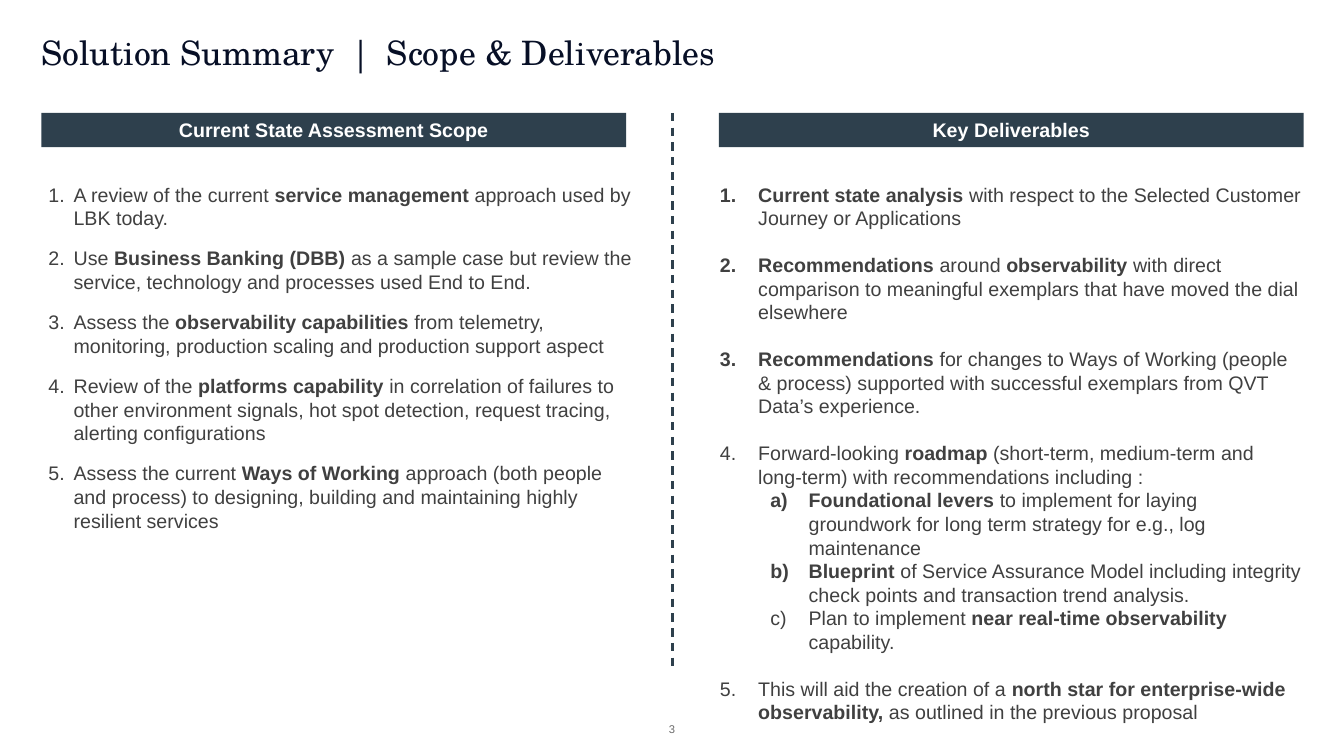
from dataclasses import dataclass

from lxml import etree
from pptx import Presentation
from pptx.dml.color import RGBColor
from pptx.enum.dml import MSO_LINE
from pptx.enum.shapes import MSO_CONNECTOR, MSO_SHAPE
from pptx.enum.text import MSO_ANCHOR as ANCHOR, MSO_AUTO_SIZE as AUTO, PP_ALIGN as ALIGN
from pptx.oxml.ns import qn
from pptx.util import Inches, Pt


@dataclass(frozen=True)
class Theme:
    """Colours, fonts and type sizes of the slide."""
    ink: str = "070F26"
    slate: str = "2E404D"
    body: str = "404040"
    muted: str = "6B6B6B"
    white: str = "FFFFFF"
    serif: str = "TeX Gyre Schola"
    sans: str = "Arial"
    title_size: int = 24
    text_size: int = 14
    number_size: int = 8


T = Theme()

SCOPE = [
    (0, "A review of the current **service management **approach used by LBK today."),
    (0, "Use **Business Banking (DBB) **as a sample case but review the service, "
        "technology and processes used End to End."),
    (0, "Assess the **observability capabilities** from telemetry, monitoring, "
        "production scaling and production support aspect"),
    (0, "Review of the **platforms capability **in correlation of failures to other "
        "environment signals, hot spot detection, request tracing, alerting configurations"),
    (0, "Assess the current **Ways of Working** approach (both people and process) to "
        "designing, building and maintaining highly resilient services"),
]
DELIVERABLES = [
    (0, "**Current state analysis** with respect to the Selected Customer Journey "
        "or Applications"),
    (0, "**Recommendations **around **observability **with direct comparison to "
        "meaningful exemplars that have moved the dial elsewhere"),
    (0, "**Recommendations **for changes to Ways of Working (people & process) "
        "supported with successful exemplars from QVT Data’s experience."),
    (0, "Forward-looking **roadmap** (short-term, medium-term and long-term) with "
        "recommendations including :"),
    (1, "**Foundational levers **to implement for laying groundwork for long term "
        "strategy for e.g., log maintenance"),
    (1, "**Blueprint **of Service Assurance Model including integrity check points "
        "and transaction trend analysis."),
    (1, "Plan to implement **near real-time observability **capability."),
    (0, "This will aid the creation of a **north star for enterprise-wide "
        "observability, **as outlined in the previous proposal"),
]


def place(sp, box):
    """Move and size a shape to a box in inches."""
    sp.left, sp.top, sp.width, sp.height = map(Inches, box)


def set_frame(tf, anchor, margins=(0.1, 0.05)):
    """Set wrapping, anchor and insets of a text frame."""
    tf.word_wrap = True
    tf.auto_size = AUTO.NONE
    tf.vertical_anchor = anchor
    tf.margin_left = tf.margin_right = Inches(margins[0])
    tf.margin_top = tf.margin_bottom = Inches(margins[1])


def add_run(p, text, size, color, font=T.sans, bold=False):
    """Add one formatted run."""
    r = p.add_run()
    r.text = text
    r.font.name, r.font.size, r.font.bold = font, Pt(size), bold
    r.font.color.rgb = RGBColor.from_string(color)


def add_title(sp, box, text):
    """Fill the title placeholder."""
    place(sp, box)
    tf = sp.text_frame
    set_frame(tf, ANCHOR.TOP, (0, 0))
    p = tf.paragraphs[0]
    p.alignment, p.line_spacing = ALIGN.LEFT, 0.9
    add_run(p, text, T.title_size, T.ink, T.serif)


def add_header(slide, box, text):
    """Add a dark column header bar."""
    sp = slide.shapes.add_shape(MSO_SHAPE.RECTANGLE, *map(Inches, box))
    sp.shadow.inherit = False
    sp.fill.solid()
    sp.fill.fore_color.rgb = RGBColor.from_string(T.slate)
    sp.line.fill.background()
    set_frame(sp.text_frame, ANCHOR.MIDDLE)
    p = sp.text_frame.paragraphs[0]
    p.alignment = ALIGN.CENTER
    add_run(p, text, T.text_size, T.white, bold=True)


def add_list(sp, box, items, indent, gap):
    """Fill a body placeholder with a numbered list, bold between double asterisks."""
    place(sp, box)
    tf = sp.text_frame
    set_frame(tf, ANCHOR.TOP)
    for i, (level, text) in enumerate(items):
        p = tf.add_paragraph() if i else tf.paragraphs[0]
        p.level = level
        p.alignment, p.line_spacing = ALIGN.LEFT, 1.0
        p.space_before = Pt(gap if i and level == 0 else 0)
        p.space_after = Pt(0)
        pPr = p._p.get_or_add_pPr()
        pPr.set("marL", str(Inches(indent + 0.5 * level)))
        pPr.set("indent", str(-Inches(indent)))
        number = etree.SubElement(pPr, qn("a:buAutoNum"))
        number.set("type", "alphaLcParenR" if level else "arabicPeriod")
        for j, part in enumerate(text.split("**")):
            if part:
                add_run(p, part, T.text_size, T.body, bold=j % 2 == 1)


def add_divider(slide, x, top, bottom):
    """Add the dashed line between the columns."""
    line = slide.shapes.add_connector(
        MSO_CONNECTOR.STRAIGHT, *map(Inches, (x, top, x, bottom)))
    line.line.color.rgb = RGBColor.from_string(T.slate)
    line.line.width = Pt(1.5)
    line.line.dash_style = MSO_LINE.DASH
    etree.SubElement(line._element.spPr, qn("a:effectLst"))


def add_page_number(slide, box, text):
    """Add the centred page number."""
    tf = slide.shapes.add_textbox(*map(Inches, box)).text_frame
    set_frame(tf, ANCHOR.MIDDLE, (0, 0))
    p = tf.paragraphs[0]
    p.alignment = ALIGN.CENTER
    add_run(p, text, T.number_size, T.muted)


def build_scope_slide(prs):
    """Build the two-column scope and deliverables slide."""
    slide = prs.slides.add_slide(prs.slide_layouts[3])
    title, scope, deliverables = slide.placeholders
    add_title(title, (0.41, 0.36, 12.52, 0.87), "Solution Summary │ Scope & Deliverables")
    add_header(slide, (0.41, 1.12, 5.8, 0.34), "Current State Assessment Scope")
    add_header(slide, (7.13, 1.12, 5.8, 0.34), "Key Deliverables")
    add_list(scope, (0.38, 1.76, 6.04, 4.01), SCOPE, 0.25, 12)
    add_list(deliverables, (7.04, 1.76, 5.97, 5.6), DELIVERABLES, 0.38, 16.8)
    add_divider(slide, 6.67, 1.12, 6.62)
    add_page_number(slide, (6.5, 7.18, 0.33, 0.1), "3")


def main():
    """Create and save the presentation."""
    prs = Presentation()
    prs.slide_width, prs.slide_height = Inches(13.33), Inches(7.5)
    build_scope_slide(prs)
    prs.save("out.pptx")


if __name__ == "__main__":
    main()
